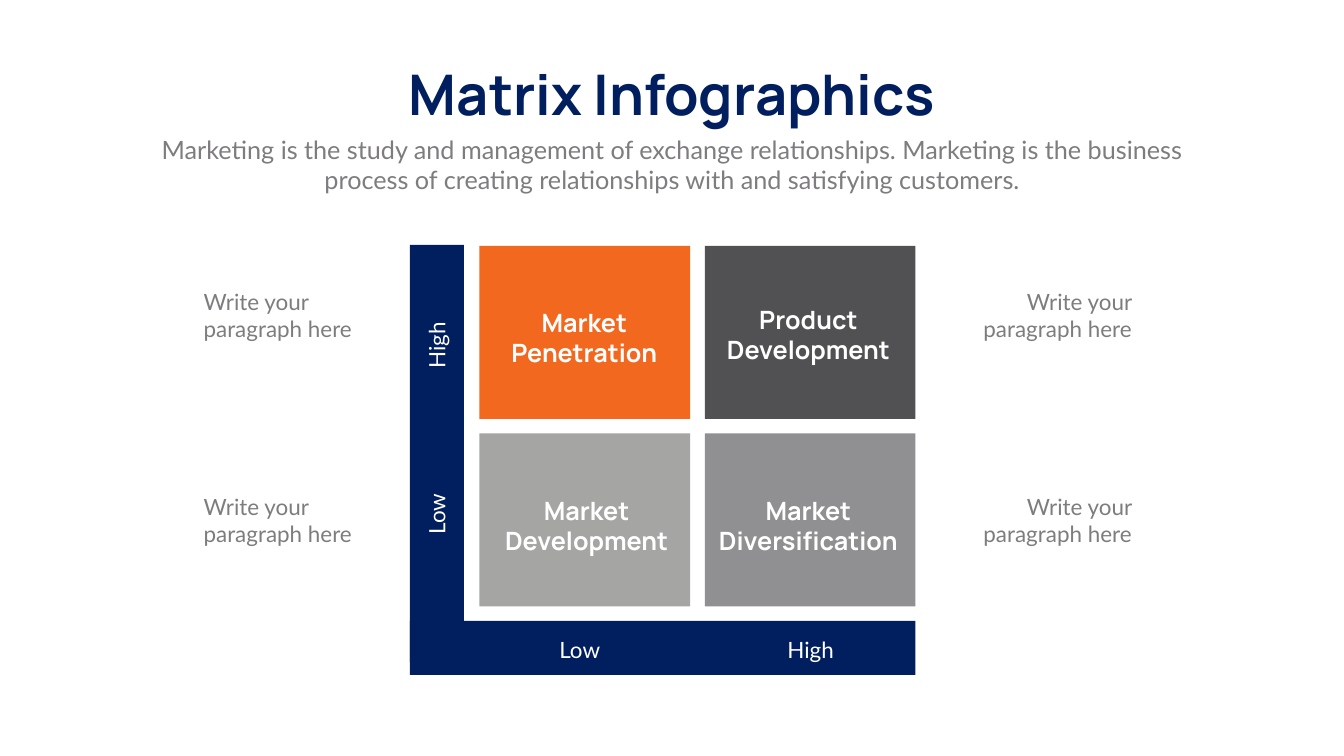
from pptx import Presentation
from pptx.dml.color import RGBColor
from pptx.enum.shapes import MSO_SHAPE
from pptx.enum.text import MSO_ANCHOR, MSO_AUTO_SIZE, PP_ALIGN
from pptx.util import Pt

PX = 9144  # EMU per px, 100 px to the inch
NAVY = RGBColor(0x01, 0x1F, 0x5E)
ORANGE = RGBColor(0xF3, 0x68, 0x1F)
LIGHT_GRAY = RGBColor(0xA5, 0xA6, 0xA4)
DARK_GRAY = RGBColor(0x51, 0x50, 0x52)
MID_GRAY = RGBColor(0x90, 0x8F, 0x91)
TEXT_GRAY = RGBColor(0x7E, 0x7C, 0x7F)
WHITE = RGBColor(0xFF, 0xFF, 0xFF)

CELL_WIDTH, CELL_HEIGHT = 418, 343
COLUMN_STEP, ROW_STEP = 447, 372
BAR = 107

# column, row, fill, lines, label box inside the cell (left, top, width)
CELLS = [
    (0, 0, ORANGE, ["Market", "Penetration"], (43, 117, 330)),
    (0, 1, LIGHT_GRAY, ["Market", "Development"], (24, 117, 377)),
    (1, 0, DARK_GRAY, ["Product", "Development"], (15, 111, 381)),
    (1, 1, MID_GRAY, ["Market", "Diversification"], (9, 117, 393)),
]
# left, top, rotation, text
AXIS_LABELS = [
    (-82, 167, 270, "High"),
    (-82, 502, 270, "Low"),
    (202, 771, 0, "Low"),
    (660, 771, 0, "High"),
]


def place(shape, left, top, width, height):
    shape.left, shape.top = left * PX, top * PX
    shape.width, shape.height = width * PX, height * PX


def write(shape, lines, size, color, font="Lato", align=PP_ALIGN.CENTER,
          bold=False, wrap=True):
    frame = shape.text_frame
    frame.text = "\n".join(lines)
    frame.word_wrap = wrap
    frame.auto_size = MSO_AUTO_SIZE.SHAPE_TO_FIT_TEXT
    frame.vertical_anchor = MSO_ANCHOR.TOP
    for paragraph in frame.paragraphs:
        paragraph.alignment = align
        paragraph.font.name = font
        paragraph.font.size = Pt(size)
        paragraph.font.bold = bold
        paragraph.font.color.rgb = color


def add_text(slide, box, lines, size, color, **style):
    shape = slide.shapes.add_textbox(*(value * PX for value in box))
    write(shape, lines, size, color, **style)
    return shape


def add_block(slide, box, color):
    shape = slide.shapes.add_shape(MSO_SHAPE.RECTANGLE, *(value * PX for value in box))
    shape.shadow.inherit = False
    shape.fill.solid()
    shape.fill.fore_color.rgb = color
    shape.line.fill.background()


def add_heading(slide, left, top, width):
    title = slide.shapes.title
    place(title, left + 465, top, 1153, 145)
    write(title, ["Matrix Infographics"], 80, NAVY, font="Manrope", bold=True, wrap=False)
    add_text(slide, (left, top + 147, width, 131),
             ["Marketing is the study and management of exchange relationships. "
              "Marketing is the business process of creating relationships with "
              "and satisfying customers."], 36, TEXT_GRAY)


def add_matrix(slide, left, top, width, height):
    # Axis bars
    add_block(slide, (left, top + height - BAR, width, BAR), NAVY)
    add_block(slide, (left, top, BAR, height - 25), NAVY)
    for label_left, label_top, rotation, text in AXIS_LABELS:
        label = add_text(slide, (left + label_left, top + label_top, 270, 64),
                         [text], 32, WHITE)
        label.rotation = rotation

    # Quadrants
    for column, row, fill, lines, (label_left, label_top, label_width) in CELLS:
        cell_left = left + 138 + column * COLUMN_STEP
        cell_top = top + 2 + row * ROW_STEP
        add_block(slide, (cell_left, cell_top, CELL_WIDTH, CELL_HEIGHT), fill)
        add_text(slide, (cell_left + label_left, cell_top + label_top, label_width, 131),
                 lines, 36, WHITE, font="Manrope", bold=True)


def add_side_notes(slide, left, top, align):
    for row in range(2):
        add_text(slide, (left, top + row * 407, 364, 118),
                 ["Write your paragraph here"], 32, TEXT_GRAY, align=align)


def main():
    presentation = Presentation()
    presentation.slide_width = 2666 * PX
    presentation.slide_height = 1500 * PX
    slide = presentation.slides.add_slide(presentation.slide_layouts[5])

    add_heading(slide, 292, 114, 2082)
    add_matrix(slide, 813, 486, 1003, 853)
    add_side_notes(slide, 394, 566, PP_ALIGN.LEFT)
    add_side_notes(slide, 1891, 566, PP_ALIGN.RIGHT)

    presentation.save("out.pptx")


if __name__ == "__main__":
    main()
